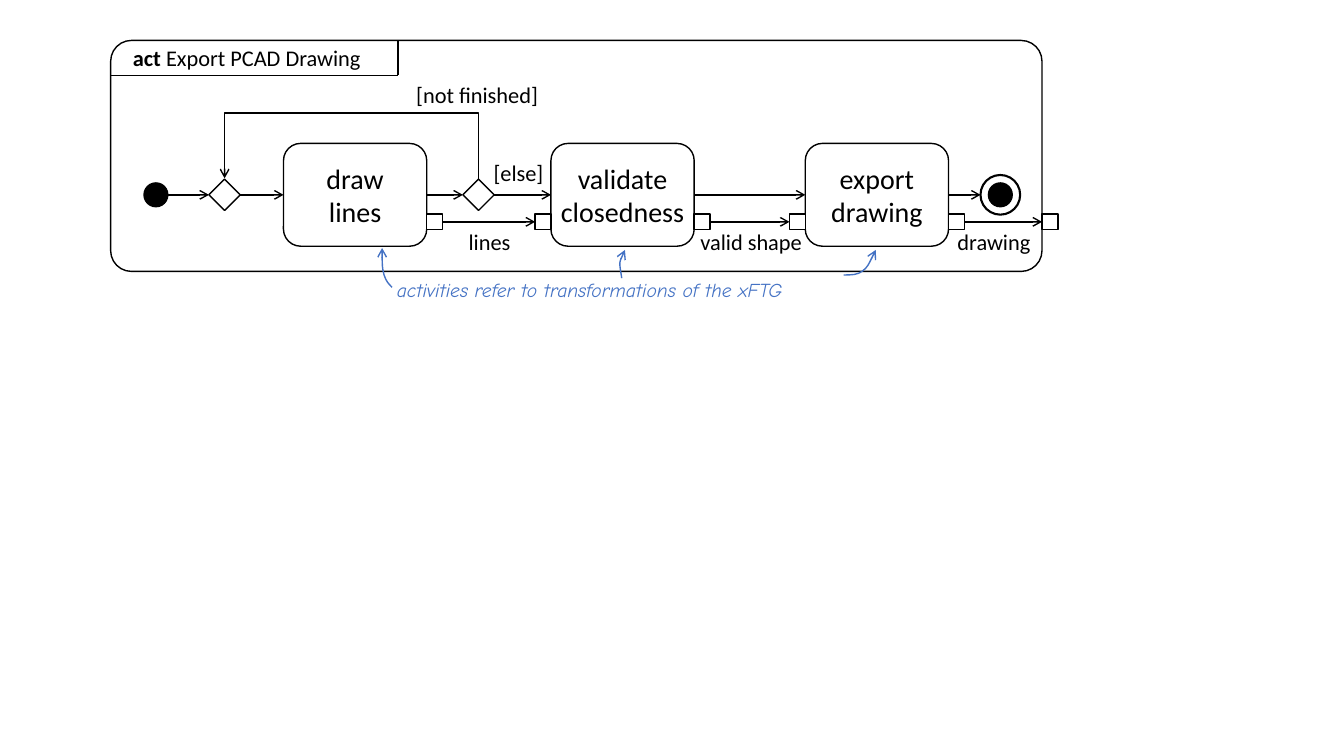
"""Build a slide with a UML activity diagram for exporting a drawing."""
from dataclasses import dataclass
from itertools import pairwise

from lxml.etree import SubElement
from pptx import Presentation
from pptx.dml.color import RGBColor
from pptx.enum.shapes import MSO_CONNECTOR as Link, MSO_SHAPE as Preset
from pptx.enum.text import MSO_ANCHOR, MSO_AUTO_SIZE, PP_ALIGN
from pptx.oxml.ns import qn
from pptx.shapes.autoshape import Shape
from pptx.shapes.connector import Connector
from pptx.shapes.shapetree import SlideShapes
from pptx.text.text import _Paragraph as Paragraph
from pptx.util import Cm, Pt

BLACK = RGBColor(0x00, 0x00, 0x00)
WHITE = RGBColor(0xFF, 0xFF, 0xFF)
BLUE = RGBColor(0x44, 0x72, 0xC4)

FRAME_LEFT, FRAME_TOP, FRAME_WIDTH, FRAME_HEIGHT = 2.79, 1.02, 23.47, 5.82
FRAME_RIGHT = FRAME_LEFT + FRAME_WIDTH
TAB_RIGHT, TAB_BOTTOM = 10.03, 1.9
CONTROL_Y, OBJECT_Y = 4.91, 5.59
LOOP_TOP = 2.85
ACTION_WIDTH, ACTION_HEIGHT = 3.61, 2.59
DIAMOND, PIN, DOT, RING = 0.79, 0.4, 0.6, 1.0


@dataclass(frozen=True)
class Node:
    preset: Preset
    center: float
    width: float
    height: float
    fill: RGBColor = WHITE
    text: str = ""
    line_width: float = 1

    @property
    def left(self) -> float:
        return self.center - self.width / 2

    @property
    def right(self) -> float:
        return self.center + self.width / 2


@dataclass(frozen=True)
class Label:
    text: str
    left: float
    top: float
    width: float
    height: float = 0.94
    size: float = 16
    font: str = "Calibri"
    color: RGBColor = BLACK
    italic: bool = False
    bold_lead: str = ""


def action(text: str, center: float) -> Node:
    return Node(Preset.ROUNDED_RECTANGLE, center, ACTION_WIDTH, ACTION_HEIGHT, text=text)


def diamond(center: float) -> Node:
    return Node(Preset.DIAMOND, center, DIAMOND, DIAMOND)


START = Node(Preset.OVAL, 3.93, DOT, DOT, BLACK)
MERGE, DECISION = diamond(5.66), diamond(12.06)
DRAW = action("draw\vlines", 8.95)
VALIDATE = action("validate\vclosedness", 15.69)
EXPORT = action("export\vdrawing", 22.1)
END_RING = Node(Preset.OVAL, 25.21, RING, RING, line_width=1.5)
END_DOT = Node(Preset.OVAL, 25.21, DOT, DOT, BLACK)

CONTROL_NODES = [START, MERGE, DRAW, DECISION, VALIDATE, EXPORT, END_RING]
OBJECT_FLOWS = [
    (DRAW.right, VALIDATE.left - PIN),
    (VALIDATE.right, EXPORT.left - PIN),
    (EXPORT.right, FRAME_RIGHT),
]
LABELS = [
    Label("[not finished]", 10.24, 1.91, 3.61),
    Label("[else]", 12.19, 3.89, 1.78),
    Label("lines", 11.56, 5.62, 1.57),
    Label("valid shape", 17.4, 5.62, 3.15),
    Label("drawing", 23.88, 5.62, 2.36),
    Label(" Export PCAD Drawing", 3.1, 0.99, 6.6, bold_lead="act"),
    Label("activities refer to transformations of the xFTG", 9.75, 6.88, 11.68,
          0.86, 14, "Comic Neue", BLUE, True),
]
POINTERS = [
    [(21.26, 6.93), (21.44, 6.93), (21.62, 6.93), (21.74, 6.83),
     (21.87, 6.73), (21.97, 6.5), (22.07, 6.3)],
    [(15.67, 7.01), (15.65, 6.88), (15.62, 6.73), (15.62, 6.63),
     (15.65, 6.5), (15.7, 6.4), (15.75, 6.3)],
    [(9.88, 7.24), (9.8, 7.16), (9.73, 7.09), (9.68, 6.93),
     (9.63, 6.76), (9.63, 6.5), (9.63, 6.25)],
]


def style_font(paragraph: Paragraph, name: str, size: float, color: RGBColor) -> None:
    paragraph.font.name = name
    paragraph.font.size = Pt(size)
    paragraph.font.color.rgb = color


def add_arrowhead(shape: Shape | Connector) -> None:
    SubElement(shape.line._get_or_add_ln(), qn("a:tailEnd"), type="arrow")


def add_box(shapes: SlideShapes, preset: Preset, left: float, top: float, width: float,
            height: float, fill: RGBColor = WHITE, line: RGBColor = BLACK,
            line_width: float = 1) -> Shape:
    shape = shapes.add_shape(preset, Cm(left), Cm(top), Cm(width), Cm(height))
    shape.shadow.inherit = False
    shape.fill.solid()
    shape.fill.fore_color.rgb = fill
    shape.line.color.rgb = line
    shape.line.width = Pt(line_width)
    return shape


def add_node(shapes: SlideShapes, node: Node) -> None:
    shape = add_box(shapes, node.preset, node.left, CONTROL_Y - node.height / 2,
                    node.width, node.height, node.fill, line_width=node.line_width)
    if node.text:
        frame = shape.text_frame
        frame.margin_left = frame.margin_right = Cm(0.1)
        frame.margin_top = frame.margin_bottom = Cm(0.1)
        frame.vertical_anchor = MSO_ANCHOR.MIDDLE
        paragraph = frame.paragraphs[0]
        paragraph.text = node.text
        paragraph.alignment = PP_ALIGN.CENTER
        style_font(paragraph, "Calibri", 20, BLACK)


def add_line(shapes: SlideShapes, x1: float, y1: float, x2: float, y2: float,
             arrow: bool = True, link: Link = Link.STRAIGHT) -> Connector:
    connector = shapes.add_connector(link, Cm(x1), Cm(y1), Cm(x2), Cm(y2))
    connector.line.color.rgb = BLACK
    connector.line.width = Pt(1)
    SubElement(connector.element.spPr, qn("a:effectLst"))
    if arrow:
        add_arrowhead(connector)
    return connector


def add_loop(shapes: SlideShapes) -> None:
    """Draw the elbow flow from the decision back up to the merge."""
    middle = (MERGE.center + DECISION.center) / 2
    half_span = (DECISION.center - MERGE.center) / 2
    depth = 0.04
    node_top = CONTROL_Y - DIAMOND / 2
    connector = add_line(shapes, middle - depth / 2, node_top + half_span,
                         middle + depth / 2, node_top - half_span, link=Link.ELBOW)
    properties = connector.element.spPr
    properties.find(qn("a:xfrm")).set("rot", str(270 * 60000))
    adjustments = properties.find(qn("a:prstGeom")).find(qn("a:avLst"))
    bend = round((node_top + depth / 2 - LOOP_TOP) / depth * 100000)
    SubElement(adjustments, qn("a:gd"), name="adj1", fmla=f"val {bend}")


def add_pointer(shapes: SlideShapes, points: list[tuple[float, float]]) -> None:
    """Draw a curved arrow through cubic control points."""
    corners = [(Cm(x), Cm(y)) for x, y in points]
    builder = shapes.build_freeform(*corners[0])
    builder.add_line_segments(corners[1:], close=False)
    shape = builder.convert_to_shape()
    shape.shadow.inherit = False
    shape.fill.background()
    shape.line.color.rgb = BLUE
    shape.line.width = Pt(1)
    add_arrowhead(shape)
    outline = next(shape.element.iter(qn("a:path")))
    segments = outline.findall(qn("a:lnTo"))
    for start in range(0, len(segments), 3):
        curve = SubElement(outline, qn("a:cubicBezTo"))
        for segment in segments[start:start + 3]:
            curve.append(segment[0])
            outline.remove(segment)


def add_label(shapes: SlideShapes, label: Label) -> None:
    box = shapes.add_textbox(Cm(label.left), Cm(label.top), Cm(label.width), Cm(label.height))
    box.text_frame.word_wrap = False
    box.text_frame.auto_size = MSO_AUTO_SIZE.SHAPE_TO_FIT_TEXT
    paragraph = box.text_frame.paragraphs[0]
    style_font(paragraph, label.font, label.size, label.color)
    paragraph.font.italic = label.italic
    if label.bold_lead:
        lead = paragraph.add_run()
        lead.text = label.bold_lead
        lead.font.bold = True
    paragraph.add_run().text = label.text


def main() -> None:
    presentation = Presentation()
    presentation.slide_width, presentation.slide_height = Cm(33.87), Cm(19.05)
    shapes = presentation.slides.add_slide(presentation.slide_layouts[6]).shapes

    add_box(shapes, Preset.RECTANGLE, 2.11, 0.58, 24.94, 7.16, line=WHITE)
    frame = add_box(shapes, Preset.ROUNDED_RECTANGLE, FRAME_LEFT, FRAME_TOP,
                    FRAME_WIDTH, FRAME_HEIGHT)
    frame.adjustments[0] = 0.09
    add_line(shapes, FRAME_LEFT, TAB_BOTTOM, TAB_RIGHT, TAB_BOTTOM, arrow=False)
    add_line(shapes, TAB_RIGHT, TAB_BOTTOM, TAB_RIGHT, FRAME_TOP, arrow=False)

    for node in [*CONTROL_NODES, END_DOT]:
        add_node(shapes, node)
    for source, target in pairwise(CONTROL_NODES):
        add_line(shapes, source.right, CONTROL_Y, target.left, CONTROL_Y)
    add_loop(shapes)
    for source_pin, target_pin in OBJECT_FLOWS:
        for left in (source_pin, target_pin):
            add_box(shapes, Preset.RECTANGLE, left, OBJECT_Y - PIN / 2, PIN, PIN)
        add_line(shapes, source_pin + PIN, OBJECT_Y, target_pin, OBJECT_Y)
    for label in LABELS:
        add_label(shapes, label)
    for points in POINTERS:
        add_pointer(shapes, points)
    presentation.save("out.pptx")


if __name__ == "__main__":
    main()
